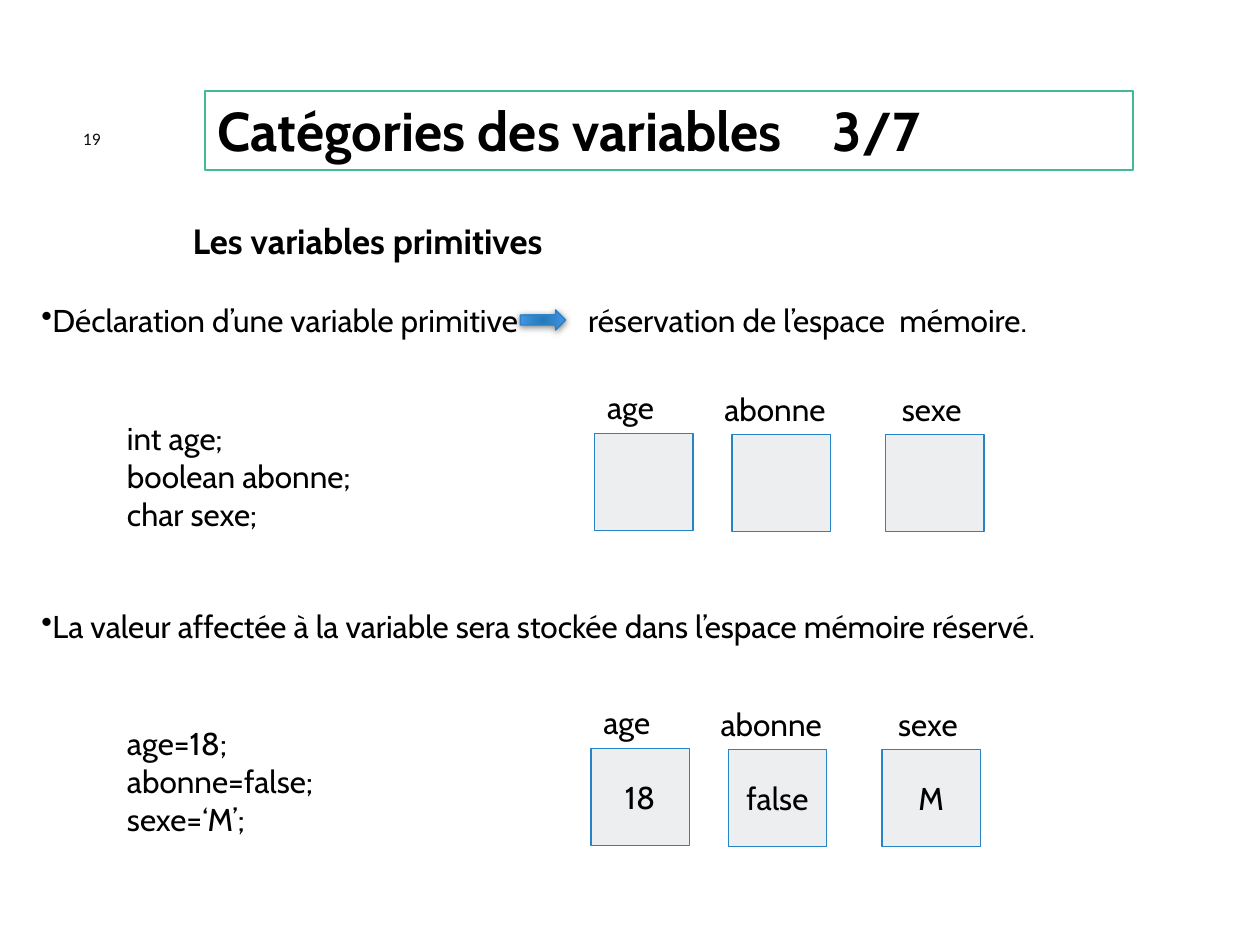
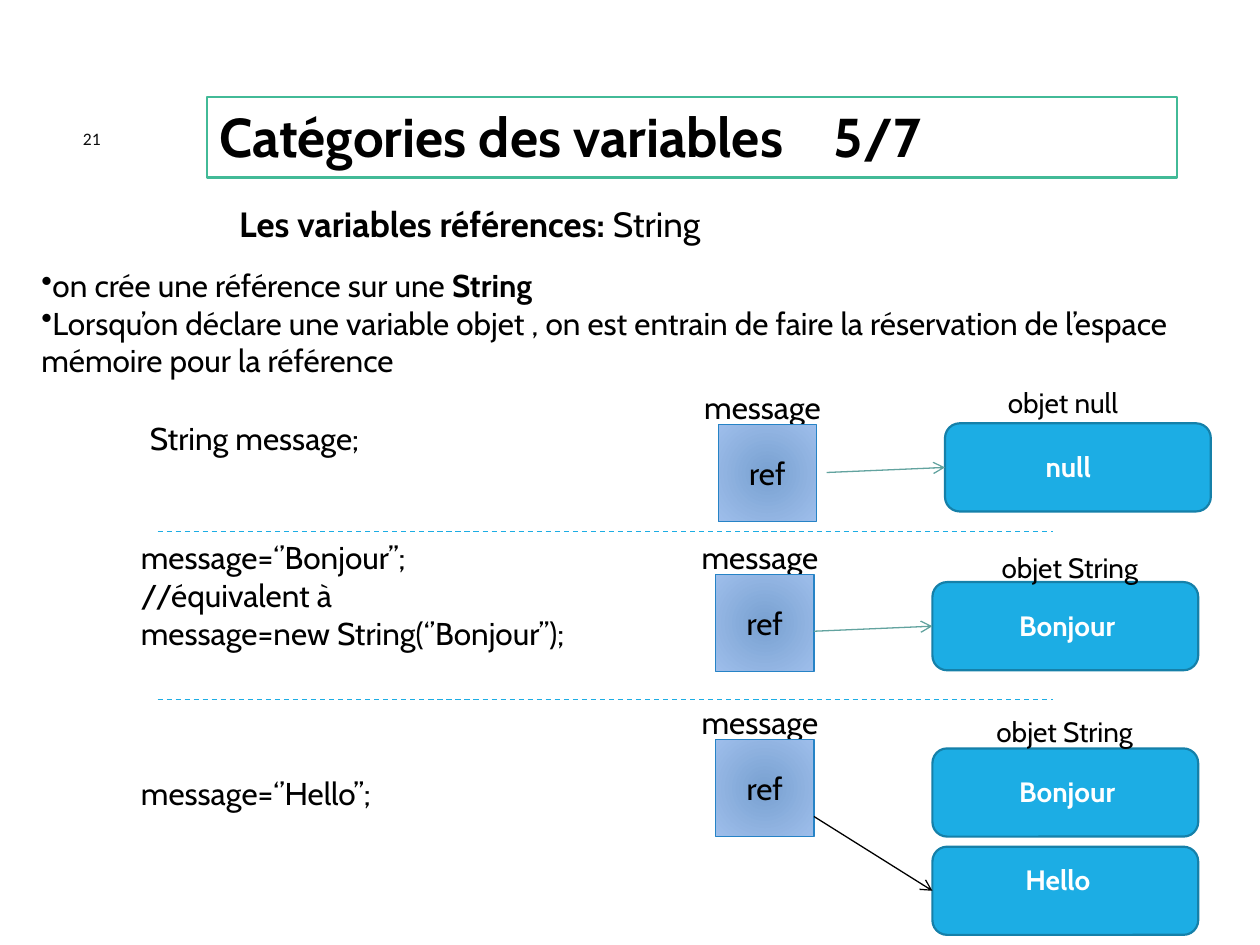
"""Build two course slides on primitive and reference variables."""
from dataclasses import dataclass
from typing import Any, Optional

import pptx
import pptx.dml.color
import pptx.enum.dml
import pptx.enum.shapes
import pptx.enum.text
import pptx.oxml
import pptx.oxml.ns
import pptx.util
from pptx.util import Inches

RGBColor = pptx.dml.color.RGBColor
SHAPE = pptx.enum.shapes.MSO_SHAPE
ANCHOR = pptx.enum.text.MSO_ANCHOR
ALIGN = pptx.enum.text.PP_ALIGN

BLACK = RGBColor(0x00, 0x00, 0x00)
WHITE = RGBColor(0xFF, 0xFF, 0xFF)
NUMBER_GREY = RGBColor(0x0D, 0x0D, 0x0D)
TITLE_GREEN = RGBColor(0x42, 0xBA, 0x97)
BOX_GREY = RGBColor(0xEC, 0xEE, 0xEF)
BOX_BLUE = RGBColor(0x26, 0x83, 0xC6)
OBJECT_BLUE = RGBColor(0x1C, 0xAD, 0xE4)
OBJECT_EDGE = RGBColor(0x15, 0x80, 0xA9)
LINK_TEAL = RGBColor(0x62, 0xA3, 0x9F)
REF_GRADIENT = (RGBColor(0x79, 0xA1, 0xD1), RGBColor(0x9E, 0xBE, 0xEB))
ARROW_GRADIENT = (RGBColor(0x23, 0x7A, 0xB8), RGBColor(0x48, 0x95, 0xE7))

BODY = {"name": "Cabin", "size": pptx.util.Pt(18), "bold": False}
CAPTION = BODY | {"size": pptx.util.Pt(16)}
OBJECT = CAPTION | {"bold": True}
SUBTITLE = BODY | {"size": pptx.util.Pt(20)}
TITLE = BODY | {"size": pptx.util.Pt(31.2), "bold": True}
NUMBER = BODY | {"name": "Calibri", "size": pptx.util.Pt(10)}

Box = tuple[float, float, float, float]
Fill = Optional[RGBColor | tuple[RGBColor, RGBColor]]


@dataclass(frozen=True)
class Text:
    """Lines of text, with ** around bold words, and their place."""
    at: Box
    text: str
    fmt: dict[str, Any]
    color: RGBColor = BLACK
    bullet: bool = False
    tabs: tuple[float, ...] = ()


@dataclass(frozen=True)
class Variable:
    """A named memory cell, with offsets from its group's corner."""
    name: str
    label: Box
    cell: tuple[float, float]


@dataclass(frozen=True)
class Instance:
    """An object in memory, its value and the value's place."""
    x: float
    y: float
    value: str
    value_at: Box


@dataclass(frozen=True)
class Reference:
    """A reference cell, its objects and the link to the last one."""
    x: float
    y: float
    objects: tuple[Instance, ...]
    link_from: tuple[float, float]
    link_color: RGBColor
    caption: str
    caption_at: Box


VARIABLES = (
    Variable("age", (0, 0, 0.71, 0.4), (0, 0.41)),
    Variable("abonne", (0.93, 0.02, 1.18, 0.4), (1.09, 0.42)),
    Variable("sexe", (2.34, 0.02, 0.75, 0.4), (2.31, 0.42)),
)
MEMORY_GROUPS = (
    (4.72, 3.03, ("", "", "")),
    (4.69, 5.53, ("18", "false", "M")),
)
PRIMITIVE_TEXTS = (
    Text((1.43, 1.69, 3.67, 0.44), "**Les variables primitives**", SUBTITLE),
    Text((0.23, 2.34, 9.53, 0.71),
         "Déclaration d’une variable primitive\tréservation de l’espace\tmémoire.",
         BODY, bullet=True, tabs=(4.34, 6.81)),
    Text((0.91, 3.28, 2.37, 1.01), "int age;\nboolean abonne;\nchar sexe;", BODY),
    Text((0.23, 4.77, 9.53, 0.71),
         "La valeur affectée à la variable sera stockée dans l’espace mémoire réservé.",
         BODY, bullet=True),
    Text((0.91, 5.7, 1.97, 1.01), "age=18;\nabonne=false;\nsexe=‘M’;", BODY),
)
REFERENCE_TEXTS = (
    Text((1.8, 1.56, 6.09, 0.44), "**Les variables références: **String", SUBTITLE),
    Text((0.23, 2.06, 9.53, 1.01),
         "on crée une référence sur une **String**\n"
         "Lorsqu’on déclare une variable objet , on est entrain de faire "
         "la réservation de l’espace mémoire pour la référence",
         BODY, bullet=True),
    Text((1.09, 3.28, 2.11, 0.4), "String message;", BODY),
    Text((1.02, 4.22, 5, 1.01),
         "message=‘’Bonjour’’;\n//équivalent à\nmessage=new String(‘’Bonjour’’);", BODY),
    Text((1.02, 6.09, 2.49, 0.71), "message=‘’Hello’’;", BODY),
)
REFERENCES = (
    Reference(5.49, 3.03, (Instance(7.5, 3.36, "null", (8.2, 3.52, 0.7, 0.37)),),
              (6.56, 3.75), LINK_TEAL, "objet null", (7.9, 3.01, 1.19, 0.37)),
    Reference(5.47, 4.22, (Instance(7.4, 4.62, "Bonjour", (7.99, 4.78, 1.01, 0.37)),),
              (6.46, 5.01), LINK_TEAL, "objet String", (7.85, 4.32, 1.42, 0.37)),
    Reference(5.47, 5.53, (Instance(7.4, 5.94, "Bonjour", (7.99, 6.1, 1.01, 0.37)),
                           Instance(7.4, 6.72, "Hello", (8.04, 6.8, 0.75, 0.37))),
              (6.46, 6.48), BLACK, "objet String", (7.81, 5.62, 1.42, 0.37)),
)


def add_xml(parent: Any, xml: str) -> None:
    """Append one element of the drawing namespace."""
    ns = pptx.oxml.ns.nsdecls("a")
    parent.append(pptx.oxml.parse_xml(f"<a:wrap {ns}>{xml}</a:wrap>")[0])


def write(tf: Any, t: Text, align: Any = ALIGN.LEFT, anchor: Any = ANCHOR.TOP) -> None:
    """Fill a text frame with the lines of a text."""
    for key, value in {"word_wrap": True, "vertical_anchor": anchor}.items():
        setattr(tf, key, value)
    for i, line in enumerate(t.text.split("\n")):
        p = tf.add_paragraph() if i else tf.paragraphs[0]
        p.alignment = align
        pPr = p._p.get_or_add_pPr()
        if t.bullet:
            add_xml(pPr, '<a:buChar char="•"/>')
        if t.tabs:
            stops = "".join(f'<a:tab pos="{Inches(x)}" algn="l"/>' for x in t.tabs)
            add_xml(pPr, f"<a:tabLst>{stops}</a:tabLst>")
        for j, part in enumerate(line.split("**")):
            if part:
                r = p.add_run()
                r.text = part
                for key, value in (t.fmt | {"bold": t.fmt["bold"] or j % 2 == 1}).items():
                    setattr(r.font, key, value)
                r.font.color.rgb = t.color


def add_text(s: Any, t: Text, anchor: Any = ANCHOR.TOP) -> None:
    """Add a text box."""
    tf = s.shapes.add_textbox(*map(Inches, t.at)).text_frame
    write(tf, t, anchor=anchor)


def add_box(s: Any, kind: Any, at: Box, fill: Fill, line: RGBColor, width: float) -> Any:
    """Add a preset shape with a plain, radial or empty fill."""
    sp = s.shapes.add_shape(kind, *map(Inches, at))
    sp.shadow.inherit = False
    sp.line.color.rgb = line
    sp.line.width = pptx.util.Pt(width)
    if fill is None:
        sp.fill.background()
    elif isinstance(fill, RGBColor):
        sp.fill.solid()
        sp.fill.fore_color.rgb = fill
    else:
        sp.fill.gradient()
        for stop, color in zip(sp.fill.gradient_stops, fill):
            stop.color.rgb = color
        grad = sp._element.spPr.find(pptx.oxml.ns.qn("a:gradFill"))
        grad.remove(grad.find(pptx.oxml.ns.qn("a:lin")))
        add_xml(grad, '<a:path path="circle"><a:fillToRect l="100000" t="100000" '
                      'r="100000" b="100000"/></a:path>')
    return sp


def add_cell(s: Any, x: float, y: float, value: str, fill: Fill) -> None:
    """Add a square memory cell with its value centred."""
    at = (x, y, 0.78, 0.77)
    sp = add_box(s, SHAPE.RECTANGLE, at, fill, BOX_BLUE, 0.75)
    if value:
        write(sp.text_frame, Text(at, value, BODY), ALIGN.CENTER, ANCHOR.MIDDLE)


def add_line(s: Any, start: tuple[float, float], end: tuple[float, float],
             color: RGBColor) -> Any:
    """Add a thin straight connector without shadow."""
    c = s.shapes.add_connector(pptx.enum.shapes.MSO_CONNECTOR.STRAIGHT,
                               *map(Inches, start + end))
    c.line.color.rgb = color
    c.line.width = pptx.util.Pt(0.75)
    add_xml(c._element.spPr, "<a:effectLst/>")
    return c


def add_frame(prs: Any, number: int, page: str, at: Box) -> Any:
    """Add a slide with its number and framed title."""
    s = prs.slides.add_slide(prs.slide_layouts[6])
    sp = add_box(s, SHAPE.RECTANGLE, at, None, TITLE_GREEN, 1.25)
    write(sp.text_frame, Text(at, f"Catégories des variables\t{page}", TITLE, tabs=(4.88,)))
    add_text(s, Text((0.56, 0.94, 0.58, 0.32), str(number), NUMBER, NUMBER_GREY),
             ANCHOR.MIDDLE)
    return s


def add_memory(s: Any, x: float, y: float, values: tuple[str, ...]) -> None:
    """Add the three named cells of a memory group."""
    for var, value in zip(VARIABLES, values):
        dx, dy, w, h = var.label
        add_text(s, Text((x + dx, y + dy, w, h), var.name, BODY))
        add_cell(s, x + var.cell[0], y + var.cell[1], value, BOX_GREY)


def add_reference(s: Any, ref: Reference) -> None:
    """Add a reference cell, its objects and the arrow between them."""
    add_text(s, Text((ref.x, ref.y, 1.31, 0.4), "message", BODY))
    add_cell(s, ref.x + 0.21, ref.y + 0.34, "ref", REF_GRADIENT)
    for obj in ref.objects:
        sp = add_box(s, SHAPE.ROUNDED_RECTANGLE, (obj.x, obj.y, 2.11, 0.7),
                     OBJECT_BLUE, OBJECT_EDGE, 1.25)
        add_text(s, Text(obj.value_at, obj.value, OBJECT, WHITE))
    c = add_line(s, ref.link_from, (obj.x, obj.y + 0.35), ref.link_color)
    c.end_connect(sp, 1)
    add_xml(c._element.spPr.find(pptx.oxml.ns.qn("a:ln")), '<a:tailEnd type="arrow"/>')
    add_text(s, Text(ref.caption_at, ref.caption, CAPTION))


def build_primitives(prs: Any) -> None:
    """Build the slide on primitive variables."""
    s = add_frame(prs, 19, "3/7", (1.63, 0.72, 7.36, 0.63))
    for t in PRIMITIVE_TEXTS:
        add_text(s, t)
    for group in MEMORY_GROUPS:
        add_memory(s, *group)
    sp = add_box(s, SHAPE.RIGHT_ARROW, (4.13, 2.46, 0.36, 0.16),
                 ARROW_GRADIENT, BOX_BLUE, 0.75)
    add_xml(sp._element.spPr.find(pptx.oxml.ns.qn("a:effectLst")),
            f'<a:outerShdw blurRad="{pptx.util.Pt(4)}" dist="{pptx.util.Pt(1)}" '
            'dir="5400000"><a:srgbClr val="000000"><a:alpha val="50000"/>'
            '</a:srgbClr></a:outerShdw>')


def build_references(prs: Any) -> None:
    """Build the slide on reference variables."""
    s = add_frame(prs, 21, "5/7", (1.64, 0.77, 7.7, 0.64))
    for t in REFERENCE_TEXTS:
        add_text(s, t)
    for ref in REFERENCES:
        add_reference(s, ref)
    for y in (4.22, 5.55):
        c = add_line(s, (1.25, y), (8.36, y), OBJECT_BLUE)
        c.line.dash_style = pptx.enum.dml.MSO_LINE.DASH


def main() -> None:
    """Build and save the presentation."""
    prs = pptx.Presentation()
    prs.slide_width, prs.slide_height = Inches(10), Inches(7.5)
    build_primitives(prs)
    build_references(prs)
    prs.save("out.pptx")


if __name__ == "__main__":
    main()
